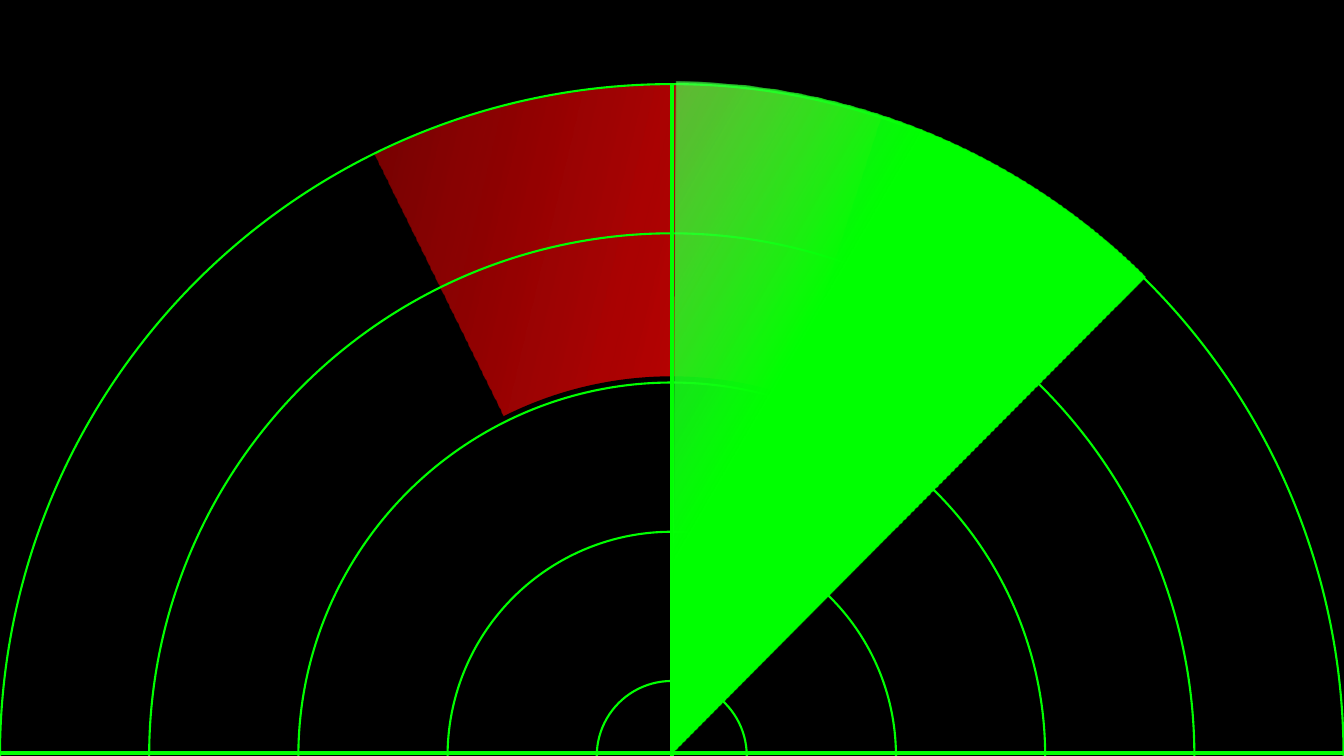
import pptx
import pptx.dml.color
import pptx.enum.shapes
import pptx.oxml
import pptx.oxml.ns
import pptx.util

Cm = pptx.util.Cm
SHAPES = pptx.enum.shapes.MSO_SHAPE

WIDTH, HEIGHT = 33.87, 19.05
GREEN, RED, BLACK, PALE = "00FF01", "F70404", "000000", "F0F8FD"
CENTER_X = 16.93
OUTER_RADIUS, RING_STEP, RING_COUNT = 16.93, 3.76, 5
MASK_RADIUS, MASK_Y = 9.4, 18.91
BASE_Y = 18.97
SECTOR_ANGLES = (270.4, 314.8)
TRAIL = {"center_y": 19.06, "turn": 333.3, "start": RED, "end": RED, "stop": 63, "angle": 40}
BEAM = {"center_y": 18.99, "turn": 0, "start": PALE, "end": GREEN, "stop": 45, "angle": 30}
AXES = [
    (CENTER_X, HEIGHT - OUTER_RADIUS, CENTER_X, HEIGHT),
    (0, BASE_Y, WIDTH, BASE_Y),
]

deck = pptx.Presentation()
deck.slide_width, deck.slide_height = Cm(WIDTH), Cm(HEIGHT)
page = deck.slides.add_slide(deck.slide_layouts[6])


def color(value):
    return pptx.dml.color.RGBColor.from_string(value)


def paint(fill, value):
    fill.solid()
    fill.fore_color.rgb = color(value)


def draw_line(line, value, points):
    paint(line.fill, value)
    line.width = pptx.util.Pt(points)


def add_round(kind, center_y, radius):
    shape = page.shapes.add_shape(
        kind, Cm(CENTER_X - radius), Cm(center_y - radius), Cm(2 * radius), Cm(2 * radius))
    shape.shadow.inherit = False
    return shape


def add_circle(center_y, radius, line_color):
    circle = add_round(SHAPES.OVAL, center_y, radius)
    circle.fill.background()
    draw_line(circle.line, line_color, 1.5)
    return circle


def add_sector(center_y, turn, start, end, stop, angle):
    sector = add_round(SHAPES.PIE, center_y, OUTER_RADIUS)
    for index, degrees in enumerate(SECTOR_ANGLES):
        sector.adjustments[index] = degrees * 0.6
    sector.rotation = turn
    sector.line.fill.background()
    gradient = pptx.oxml.parse_xml(
        f'<a:gradFill {pptx.oxml.ns.nsdecls("a")} rotWithShape="1"><a:gsLst>'
        f'<a:gs pos="0"><a:srgbClr val="{start}"><a:alpha val="0"/></a:srgbClr></a:gs>'
        f'<a:gs pos="{stop * 1000}"><a:srgbClr val="{end}"/></a:gs>'
        f'</a:gsLst><a:lin ang="{angle * 60000}" scaled="0"/></a:gradFill>')
    sector._element.spPr.find(pptx.oxml.ns.qn("a:prstGeom")).addnext(gradient)


def add_axis(*ends):
    axis = page.shapes.add_connector(
        pptx.enum.shapes.MSO_CONNECTOR.STRAIGHT, *map(Cm, ends))
    draw_line(axis.line, GREEN, 3)
    pptx.oxml.ns.qn("a:effectLst")
    axis._element.spPr.append(
        pptx.oxml.parse_xml(f'<a:effectLst {pptx.oxml.ns.nsdecls("a")}/>'))


paint(page.background.fill, BLACK)
add_sector(**TRAIL)
mask = add_circle(MASK_Y, MASK_RADIUS, BLACK)
paint(mask.fill, BLACK)
for ring in range(RING_COUNT):
    add_circle(HEIGHT, OUTER_RADIUS - ring * RING_STEP, GREEN)
for ends in AXES:
    add_axis(*ends)
add_sector(**BEAM)

deck.save("out.pptx")
